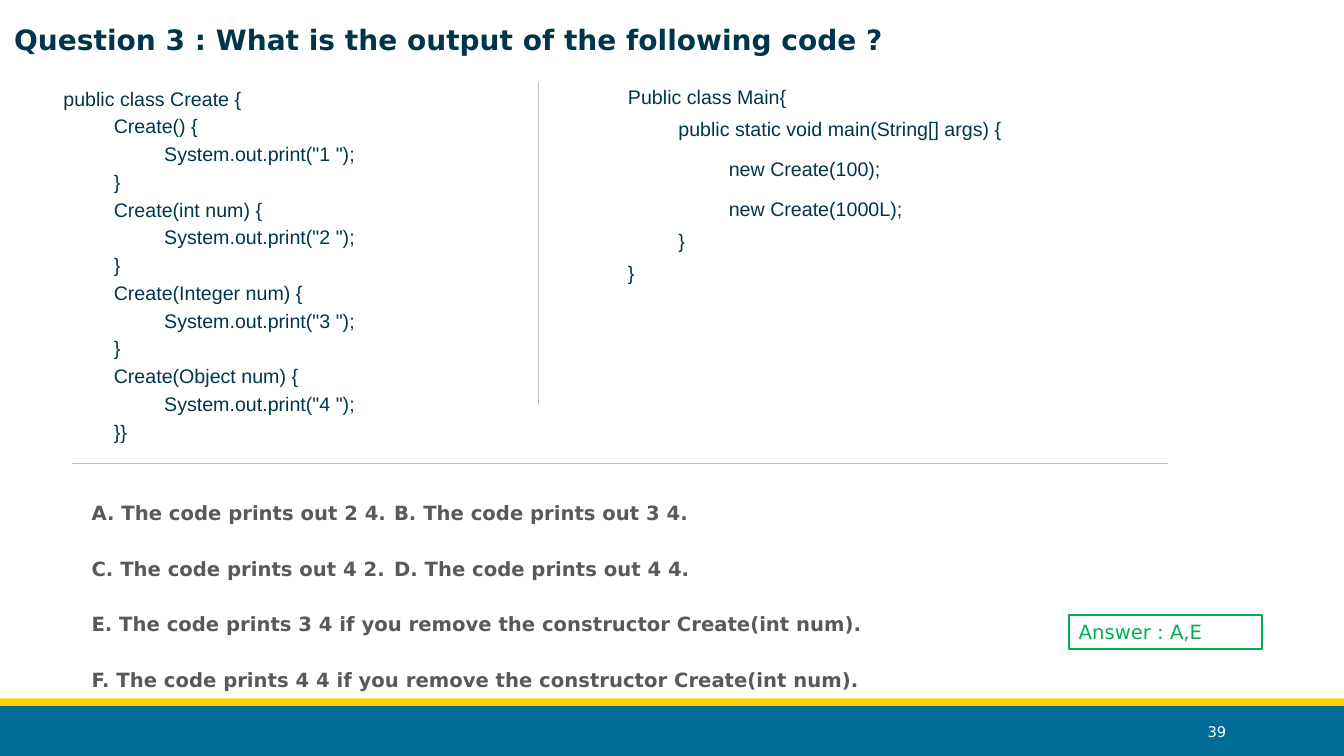
from lxml import etree
from pptx import Presentation
from pptx.dml.color import RGBColor
from pptx.enum.shapes import MSO_CONNECTOR as Connector, MSO_SHAPE as Shape
from pptx.enum.text import MSO_ANCHOR as Anchor, MSO_AUTO_SIZE as AutoSize, PP_ALIGN as Align
from pptx.oxml.ns import qn
from pptx.util import Inches, Pt

COLORS = {"navy": "00364C", "blue": "006C98", "yellow": "FFD503", "rule": "BFBFBF",
          "gray": "595959", "green": "00B050", "white": "FFFFFF"}
CODE = {"name": "Arial", "size": Pt(14), "color": "navy"}
TITLE = {"name": "DejaVu Sans", "size": Pt(20), "color": "navy", "bold": True}
OPTION = {"name": "DejaVu Sans", "size": Pt(14), "color": "gray", "bold": True}
ANSWER = {"name": "DejaVu Sans", "size": Pt(14), "color": "green", "bold": False}
NUMBER = {"name": "DejaVu Sans", "size": Pt(10.5), "color": "white", "bold": False}


def rgb(name):
    return RGBColor.from_string(COLORS[name])


def write(shape, lines, style):
    """Fill a shape with (text, indent level, space before, tab stop) lines."""
    frame = shape.text_frame
    frame.word_wrap = True
    frame.auto_size = AutoSize.NONE
    frame.vertical_anchor = Anchor.TOP
    for index, (text, level, before, tab) in enumerate(lines):
        para = frame.paragraphs[0] if index == 0 else frame.add_paragraph()
        para.alignment = Align.LEFT
        para.level = level
        para.space_before = Pt(before if index else 0)
        properties = para._p.get_or_add_pPr()
        properties.set("marL", str(Inches(0.5 * level)))
        properties.set("indent", "0")
        if tab:
            stops = etree.SubElement(properties, qn("a:tabLst"))
            etree.SubElement(stops, qn("a:tab"), pos=str(Inches(tab)), algn="l")
        span = para.add_run()
        span.text = text
        for key, value in style.items():
            if key == "color":
                span.font.color.rgb = rgb(value)
            else:
                setattr(span.font, key, value)


deck = Presentation()
deck.slide_width, deck.slide_height = Inches(13.33), Inches(7.5)
page = deck.slides.add_slide(deck.slide_layouts[5])

# Footer bands
for top, height, color in [(7, 0.5, "blue"), (6.93, 0.07, "yellow")]:
    band = page.shapes.add_shape(Shape.RECTANGLE, 0, Inches(top), Inches(13.33), Inches(height))
    band.shadow.inherit = False
    band.fill.solid()
    band.fill.fore_color.rgb = rgb(color)
    band.line.fill.background()

# Title
title = page.shapes.title
title.left, title.top, title.width, title.height = map(Inches, (0.04, 0.17, 11.54, 0.44))
write(title, [("Question 3 : What is the output of the following code ?", 0, 0, None)], TITLE)

# Class with its overloaded constructors
create_lines = [("public class Create {", 1, 0, None)]
for number, parameter in enumerate(["", "int num", "Integer num", "Object num"], 1):
    closing = "}}" if number == 4 else "}"
    create_lines += [(f"Create({parameter}) {{", 2, 3, None),
                     (f'System.out.print("{number} ");', 3, 3, None),
                     (closing, 2, 3, None)]
create_box = page.shapes.add_textbox(Inches(0.03), Inches(0.81), Inches(12.88), Inches(3.96))
write(create_box, create_lines, CODE)

# Main class
main_lines = [("Public class Main{", 0, 0, None),
              ("public static void main(String[] args) {", 1, 6, None),
              ("new Create(100);", 2, 12, None),
              ("new Create(1000L);", 2, 12, None),
              ("}", 1, 6, None),
              ("}", 0, 6, None)]
main_box = page.shapes.add_textbox(Inches(6.13), Inches(0.79), Inches(7.51), Inches(2.34))
write(main_box, main_lines, CODE)

# Dividing rules
for ends in [(5.34, 0.81, 5.34, 4.02), (0.71, 4.6, 11.58, 4.6)]:
    rule = page.shapes.add_connector(Connector.STRAIGHT, *map(Inches, ends))
    rule.line.color.rgb = rgb("rule")
    rule.line.width = Pt(1)
    etree.SubElement(rule._element.spPr, qn("a:effectLst"))

# Answer options
options = ["A. The code prints out 2 4.\tB. The code prints out 3 4.",
           "C. The code prints out 4 2.\tD. The code prints out 4 4.",
           "E. The code prints 3 4 if you remove the constructor Create(int num).",
           "F. The code prints 4 4 if you remove the constructor Create(int num)."]
option_box = page.shapes.add_textbox(Inches(0.81), Inches(4.69), Inches(9.61), Inches(2.63))
write(option_box, [(text, 0, 6, 6 if "\t" in text else None) for text in options], OPTION)
for para in option_box.text_frame.paragraphs:
    para.line_spacing = 2.0

# Correct answer
answer = page.shapes.add_shape(Shape.RECTANGLE, Inches(10.6), Inches(6.1), Inches(1.92), Inches(0.34))
answer.shadow.inherit = False
answer.fill.background()
answer.line.color.rgb = rgb("green")
answer.line.width = Pt(1.5)
write(answer, [("Answer : A,E", 0, 0, None)], ANSWER)

# Page number
number_box = page.shapes.add_textbox(Inches(10.83), Inches(7.06), Inches(1.43), Inches(0.4))
write(number_box, [("39", 0, 0, None)], NUMBER)
number_box.text_frame.vertical_anchor = Anchor.MIDDLE
number_box.text_frame.paragraphs[0].alignment = Align.RIGHT

deck.save("out.pptx")
